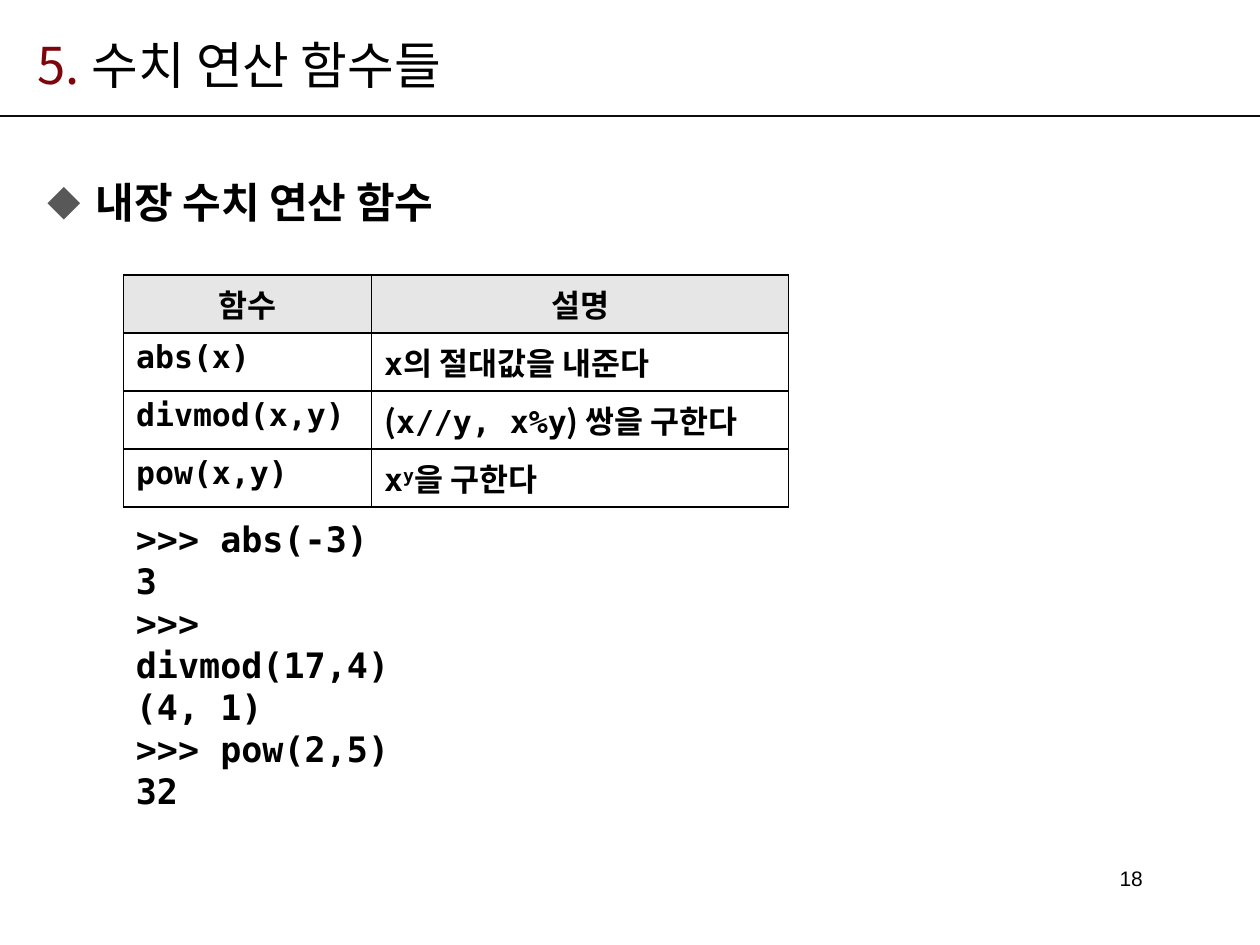
from dataclasses import dataclass

from lxml.etree import SubElement
from pptx import Presentation
from pptx.dml.color import RGBColor
from pptx.enum.shapes import MSO_CONNECTOR
from pptx.enum.text import MSO_ANCHOR, PP_ALIGN
from pptx.oxml.ns import qn
from pptx.util import Cm, Pt


@dataclass(frozen=True)
class Theme:
    ink: str = "000000"
    accent: str = "7E040B"
    rule: str = "0D0D0D"
    bullet: str = "585858"
    header: str = "E6E6E6"
    korean: str = "Noto Sans CJK KR"
    mono: str = "DejaVu Sans Mono"
    latin: str = "Arial"
    title_size: int = 29
    heading_size: int = 24
    code_size: int = 20
    table_size: int = 18
    number_size: int = 12


THEME = Theme()


def write(paragraph, text, font, size, color=THEME.ink, bold=False, raised=False):
    run = paragraph.add_run()
    run.text = text
    run.font.size = Pt(size)
    run.font.bold = bold
    run.font.color.rgb = RGBColor.from_string(color)
    run.font.name = font
    properties = run.font._element
    SubElement(properties, qn("a:ea"), typeface=font)
    if raised:
        properties.set("baseline", "30000")


class SlideBuilder:
    def __init__(self, slide, theme):
        self.slide = slide
        self.theme = theme

    def rule(self, y, width):
        divider = self.slide.shapes.add_connector(
            MSO_CONNECTOR.STRAIGHT, Cm(0), Cm(y), Cm(width), Cm(y))
        divider.line.color.rgb = RGBColor.from_string(self.theme.rule)
        divider.line.width = Pt(1.5)
        SubElement(divider._element.spPr, qn("a:effectLst"))

    def frame(self, left, top, width, height, anchor=MSO_ANCHOR.TOP):
        frame = self.slide.shapes.add_textbox(
            Cm(left), Cm(top), Cm(width), Cm(height)).text_frame
        frame.word_wrap = True
        frame.vertical_anchor = anchor
        return frame

    def title(self, number, text):
        heading = self.frame(0.51, 0.53, 21.41, 1.55, MSO_ANCHOR.MIDDLE).paragraphs[0]
        style = dict(font=self.theme.korean, size=self.theme.title_size)
        write(heading, number, color=self.theme.accent, **style)
        write(heading, text, **style)

    def bullet(self, text):
        topic = self.frame(0.71, 2.92, 23.8, 13.59).paragraphs[0]
        topic.line_spacing = 1.5
        topic.space_before = Pt(0.2 * self.theme.heading_size)
        properties = topic._p.get_or_add_pPr()
        properties.set("marL", str(Cm(0.97)))
        properties.set("indent", str(-Cm(0.97)))
        tint = SubElement(properties, qn("a:buClr"))
        SubElement(tint, qn("a:srgbClr"), val=self.theme.bullet)
        SubElement(properties, qn("a:buSzPct"), val="80000")
        SubElement(properties, qn("a:buFont"), typeface=self.theme.korean)
        SubElement(properties, qn("a:buChar"), char="◆")
        write(topic, text, self.theme.korean, self.theme.heading_size, bold=True)

    def border(self, cell):
        properties = cell._tc.get_or_add_tcPr()
        for position, side in enumerate(("lnL", "lnR", "lnT", "lnB")):
            edge = properties.makeelement(qn(f"a:{side}"), {"w": str(Pt(1))})
            paint = SubElement(edge, qn("a:solidFill"))
            SubElement(paint, qn("a:srgbClr"), val=self.theme.ink)
            properties.insert(position, edge)

    def table(self, left, top, widths, row_height, rows):
        table = self.slide.shapes.add_table(
            len(rows), len(widths), Cm(left), Cm(top),
            Cm(sum(widths)), Cm(row_height * len(rows))).table
        for column, width in zip(table.columns, widths):
            column.width = Cm(width)
        for row_index, row in enumerate(rows):
            table.rows[row_index].height = Cm(row_height)
            for column_index, parts in enumerate(row):
                cell = table.cell(row_index, column_index)
                content = cell.text_frame.paragraphs[0]
                if row_index == 0:
                    content.alignment = PP_ALIGN.CENTER
                    cell.fill.solid()
                    cell.fill.fore_color.rgb = RGBColor.from_string(self.theme.header)
                else:
                    content.alignment = PP_ALIGN.LEFT
                    cell.fill.background()
                self.border(cell)
                for text, style in parts:
                    write(content, text, size=self.theme.table_size, bold=True, **style)

    def code(self, lines):
        session = self.frame(2.49, 10.31, 6.78, 5.38)
        for index, line in enumerate(lines):
            paragraph = session.add_paragraph() if index else session.paragraphs[0]
            write(paragraph, line, self.theme.mono, self.theme.code_size, bold=True)

    def page_number(self, number):
        footer = self.frame(17.5, 17.32, 5.79, 0.71).paragraphs[0]
        footer.alignment = PP_ALIGN.RIGHT
        write(footer, number, self.theme.latin, self.theme.number_size)


def main():
    presentation = Presentation()
    presentation.slide_width, presentation.slide_height = Cm(25.4), Cm(19.05)
    slide = presentation.slides.add_slide(presentation.slide_layouts[6])
    builder = SlideBuilder(slide, THEME)

    korean = dict(font=THEME.korean)
    mono = dict(font=THEME.mono)
    functions = [
        [[("함수", korean)], [("설명", korean)]],
        [[("abs(x)", mono)], [("x", mono), ("의 절대값을 내준다", korean)]],
        [[("divmod(x,y)", mono)],
         [("(", korean), ("x//y, x%y", mono), (") 쌍을 구한다", korean)]],
        [[("pow(x,y)", mono)],
         [("x", mono), ("y", dict(mono, raised=True)), ("을 구한다", korean)]],
    ]

    builder.rule(2.34, 25.4)
    builder.title("5. ", "수치 연산 함수들")
    builder.bullet("내장 수치 연산 함수")
    builder.page_number("18")
    builder.table(2.49, 5.54, (5, 8.41), 1.17, functions)
    builder.code([">>> abs(-3)", "3", ">>> divmod(17,4)", "(4, 1)", ">>> pow(2,5)", "32"])
    presentation.save("out.pptx")


if __name__ == "__main__":
    main()
